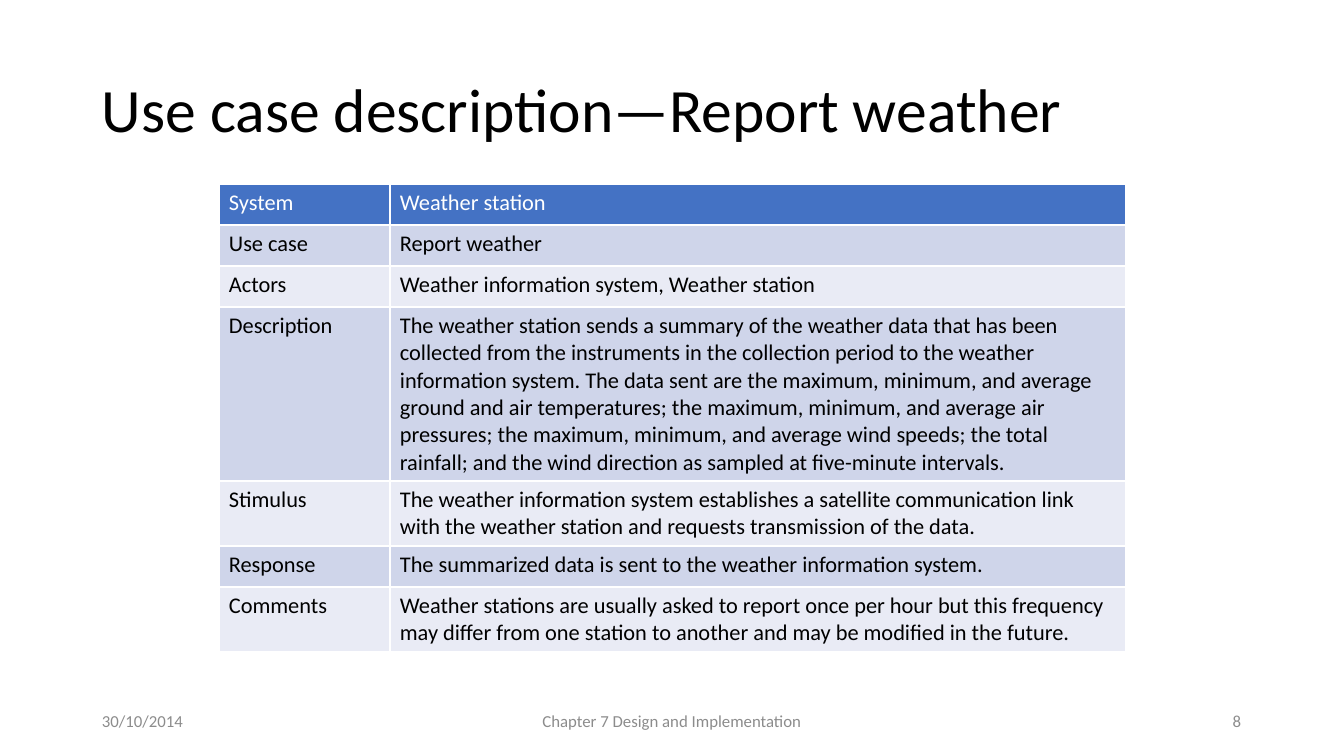
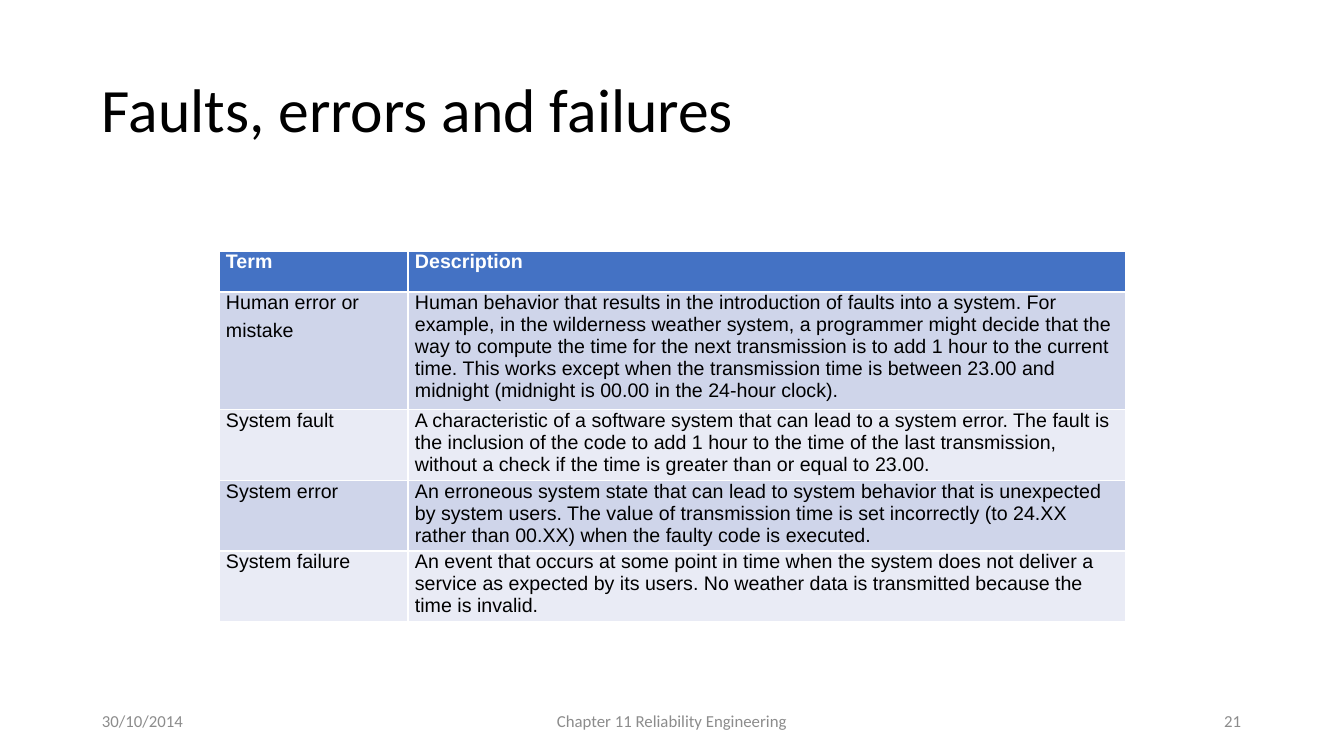
from pptx import Presentation
from pptx.dml.color import RGBColor
from pptx.enum.text import MSO_ANCHOR as ANCHOR, PP_ALIGN as ALIGN
from pptx.util import Emu, Pt

BLACK = RGBColor(0x00, 0x00, 0x00)
WHITE = RGBColor(0xFF, 0xFF, 0xFF)
GREY = RGBColor(0x8C, 0x8C, 0x8C)
HEADER = RGBColor(0x44, 0x72, 0xC4)
BANDS = [RGBColor(0xE9, 0xEB, 0xF5), RGBColor(0xCF, 0xD5, 0xEA)]
DATE = "30/10/2014"
TABLE_LEFT, TABLE_WIDTH = 219, 907


def px(n):
    return Emu(round(n * 914400 / 100.8))


def write(tf, text, size=12, font="Calibri", color=BLACK, bold=False,
          align=ALIGN.LEFT, line=None, after=0):
    tf.word_wrap = True
    for i, part in enumerate(text.split("\n")):
        p = tf.paragraphs[0] if i == 0 else tf.add_paragraph()
        p.alignment = align
        p.space_after = Pt(after)
        if line:
            p.line_spacing = line
        r = p.add_run()
        r.text = part
        r.font.size = Pt(size)
        r.font.name = font
        r.font.bold = bold
        r.font.color.rgb = color


slides = [
    dict(
        title="Use case description\u2014Report weather",
        footer="Chapter 7 Design and Implementation", number="8",
        top=184, first_col=171, heights=[41, 41, 41, 174, 65, 41, 65],
        font="Calibri", size=16, bold_header=False, after=0, insets=(10, 5),
        rows=[
            ("System", "Weather station"),
            ("Use case", "Report weather"),
            ("Actors", "Weather information system, Weather station"),
            ("Description",
             "The weather station sends a summary of the weather data that has "
             "been collected from the instruments in the collection period to "
             "the weather information system. The data sent are the maximum, "
             "minimum, and average ground and air temperatures; the maximum, "
             "minimum, and average air pressures; the maximum, minimum, and "
             "average wind speeds; the total rainfall; and the wind direction "
             "as sampled at five-minute intervals."),
            ("Stimulus",
             "The weather information system establishes a satellite "
             "communication link with the weather station and requests "
             "transmission of the data."),
            ("Response",
             "The summarized data is sent to the weather information system."),
            ("Comments",
             "Weather stations are usually asked to report once per hour but "
             "this frequency may differ from one station to another and may be "
             "modified in the future."),
        ]),
    dict(
        title="Faults, errors and failures",
        footer="Chapter 11 Reliability Engineering", number="21",
        top=251, first_col=189, heights=[41, 110, 66, 66, 66],
        font="Arial", size=14, bold_header=True, after=4, insets=(7, 0),
        rows=[
            ("Term", "Description"),
            ("Human error or\nmistake",
             "Human behavior that results in the introduction of faults into a "
             "system. For example, in the wilderness weather system, a "
             "programmer might decide that the way to compute the time for the "
             "next transmission is to add 1 hour to the current time. This "
             "works except when the transmission time is between 23.00 and "
             "midnight (midnight is 00.00 in the 24-hour clock)."),
            ("System fault",
             "A characteristic of a software system that can lead to a system "
             "error. The fault is the inclusion of the code to add 1 hour to "
             "the time of the last transmission, without a check if the time "
             "is greater than or equal to 23.00."),
            ("System error",
             "An erroneous system state that can lead to system behavior that "
             "is unexpected by system users. The value of transmission time is "
             "set incorrectly (to 24.XX rather than 00.XX) when the faulty "
             "code is executed."),
            ("System failure",
             "An event that occurs at some point in time when the system does "
             "not deliver a service as expected by its users. No weather data "
             "is transmitted because the time is invalid."),
        ]),
]

prs = Presentation()
prs.slide_width, prs.slide_height = px(1344), px(756)

for d in slides:
    s = prs.slides.add_slide(prs.slide_layouts[6])

    title = dict(size=44, line=0.9)
    small = dict(size=12, color=GREY)
    for text, box, fmt in [
        (d["title"], (92, 40, 1159, 146), title),
        (DATE, (92, 701, 302, 40), small),
        (d["footer"], (445, 701, 454, 40), dict(small, align=ALIGN.CENTER)),
        (d["number"], (949, 701, 302, 40), dict(small, align=ALIGN.RIGHT)),
    ]:
        tf = s.shapes.add_textbox(*map(px, box)).text_frame
        tf.vertical_anchor = ANCHOR.MIDDLE
        write(tf, text, **fmt)

    rows, heights = d["rows"], d["heights"]
    table = s.shapes.add_table(len(rows), 2, px(TABLE_LEFT), px(d["top"]),
                               px(TABLE_WIDTH), px(sum(heights))).table
    table.columns[0].width = px(d["first_col"])
    table.columns[1].width = px(TABLE_WIDTH - d["first_col"])
    side, edge = map(px, d["insets"])
    for i, row in enumerate(rows):
        table.rows[i].height = px(heights[i])
        header = i == 0
        for j, text in enumerate(row):
            cell = table.cell(i, j)
            cell.margin_left = cell.margin_right = side
            cell.margin_top = cell.margin_bottom = edge
            cell.fill.solid()
            cell.fill.fore_color.rgb = HEADER if header else BANDS[i % 2]
            write(cell.text_frame, text, size=d["size"], font=d["font"],
                  color=WHITE if header else BLACK,
                  bold=header and d["bold_header"],
                  after=0 if header else d["after"])

prs.save("out.pptx")
